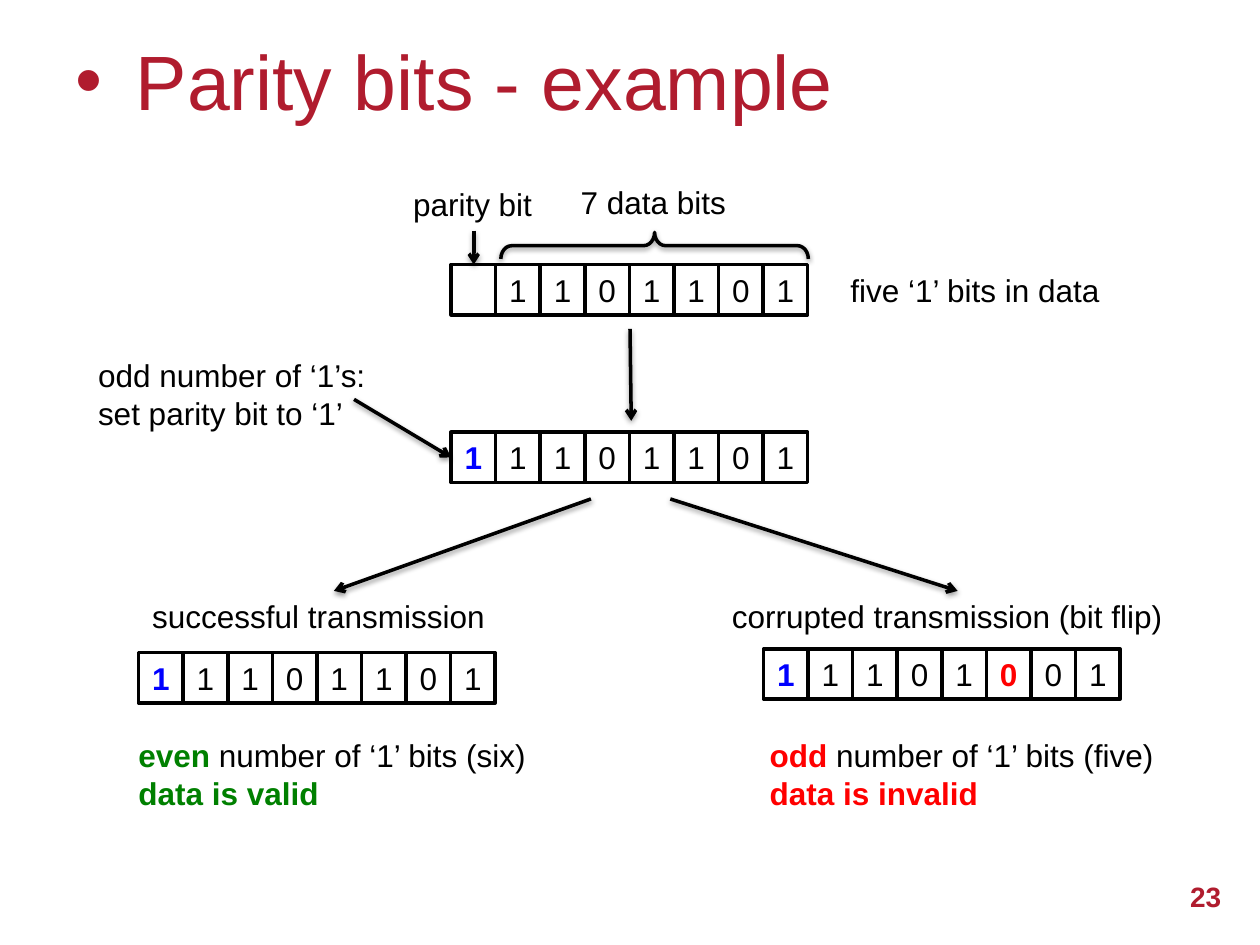
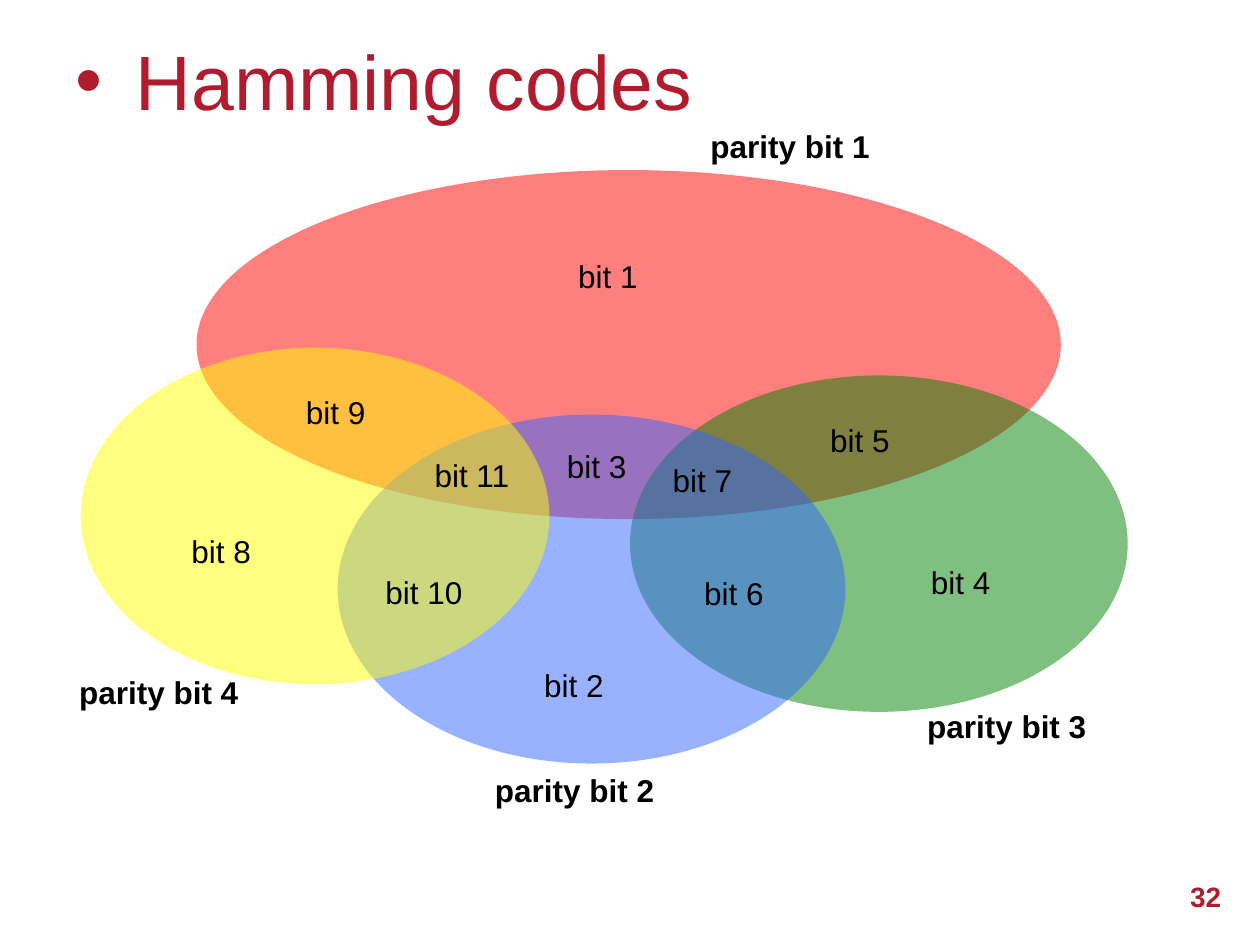
from lxml.etree import SubElement as Sub
from pptx import Presentation
from pptx.dml.color import RGBColor as RGB
from pptx.enum.shapes import MSO_CONNECTOR as Link, MSO_SHAPE as Shape
from pptx.enum.text import MSO_ANCHOR as Anchor, PP_ALIGN as Align
from pptx.oxml.ns import qn
from pptx.util import Emu, Inches, Pt

FONT = "Arial"
BRAND, BLACK, WHITE = "B01C2E", "000000", "FFFFFF"
BLUE, RED, GREEN = "0000FF", "FF0000", "008000"
ROW_W, ROW_H = 2.83, 0.4


def tint(target, code):
    """Give a colour format the colour of a hex string."""
    target.rgb = RGB.from_string(code)


def paint(shape, code):
    """Fill a shape with one solid colour."""
    shape.fill.solid()
    tint(shape.fill.fore_color, code)


def stroke(line):
    """Make a line black and two points wide."""
    tint(line.color, BLACK)
    line.width = Pt(2)


def shade(shape):
    """Add a soft shadow below a line or an outline."""
    props = shape._element.spPr
    effects = Sub(props, qn("a:effectLst"))
    outer = Sub(effects, qn("a:outerShdw"), blurRad=str(Pt(3.1)),
                dist=str(Pt(1.6)), dir="5400000", rotWithShape="0")
    color = Sub(outer, qn("a:srgbClr"), val=BLACK)
    Sub(color, qn("a:alpha"), val="38000")


def write(frame, parts, size=18, color=BLACK, bold=False, align=Align.LEFT,
          anchor=Anchor.TOP, bullet=None):
    """Write a string or (text, colour, bold) parts, where a newline breaks."""
    frame.word_wrap = True
    frame.vertical_anchor = anchor
    para = frame.paragraphs[0]
    para.alignment = align
    if bullet:
        props = para._p.get_or_add_pPr()
        props.set("marL", str(Inches(0.48)))
        props.set("indent", str(Inches(-0.48)))
        Sub(props, qn("a:buFont"), typeface=FONT)
        Sub(props, qn("a:buChar"), char=bullet)
    if isinstance(parts, str):
        parts = [(parts, color, bold)]
    for text, code, heavy in parts:
        if text == "\n":
            para.add_line_break()
            continue
        run = para.add_run()
        run.text = text
        run.font.name, run.font.size, run.font.bold = FONT, Pt(size), heavy
        tint(run.font.color, code)


def label(slide, parts, x, y, w, h=0.4, **style):
    """Place a text box."""
    box = slide.shapes.add_textbox(Inches(x), Inches(y), Inches(w), Inches(h))
    write(box.text_frame, parts, **style)


def start(deck, title, number):
    """Add a slide with its title and page number."""
    slide = deck.slides.add_slide(deck.slide_layouts[6])
    label(slide, title, 0.5, 0.01, 9, 1.25, size=44, color=BRAND,
          anchor=Anchor.MIDDLE, bullet="•")
    label(slide, str(number), 9.02, 6.85, 0.77, 0.52, size=16, color=BRAND,
          bold=True, align=Align.RIGHT, anchor=Anchor.MIDDLE)
    return slide


def byte(slide, bits, x, y, marks):
    """Draw a row of bit cells, with marked bits bold and coloured."""
    group = slide.shapes.add_group_shape()
    step = Inches(ROW_W / len(bits))
    for i, bit in enumerate(bits):
        cell = group.shapes.add_shape(Shape.RECTANGLE, Inches(x) + i * step,
                                      Inches(y), step, Inches(ROW_H))
        paint(cell, WHITE)
        stroke(cell.line)
        cell.shadow.inherit = False
        if bit != " ":
            frame = cell.text_frame
            frame.margin_left = frame.margin_right = Emu(0)
            write(frame, bit, color=marks.get(i, BLACK), bold=i in marks,
                  align=Align.CENTER, anchor=Anchor.MIDDLE)


def arrow(slide, *ends):
    """Draw an arrow from one point to another."""
    line = slide.shapes.add_connector(Link.STRAIGHT, *map(Inches, ends))
    stroke(line.line)
    Sub(line._element.spPr.find(qn("a:ln")), qn("a:tailEnd"), type="arrow")
    shade(line)


def brace(slide, x, y, w, h):
    """Draw a left brace turned to point upwards."""
    shape = slide.shapes.add_shape(Shape.LEFT_BRACE, Inches(x), Inches(y),
                                   Inches(w), Inches(h))
    shape.rotation = 90
    shape.adjustments[0] = 0.41
    shape.fill.background()
    stroke(shape.line)
    shade(shape)


def oval(group, code, x, y, w, h):
    """Draw a half clear ellipse."""
    shape = group.shapes.add_shape(Shape.OVAL, Inches(x), Inches(y),
                                   Inches(w), Inches(h))
    paint(shape, code)
    color = shape._element.spPr.find(qn("a:solidFill")).find(qn("a:srgbClr"))
    Sub(color, qn("a:alpha"), val="50000")
    shape.line.fill.background()
    shape.shadow.inherit = False


def result(slide, x, word, count, verdict, code):
    """State the parity found and what it means."""
    label(slide, [(word, code, True),
                  (f" number of ‘1’ bits ({count})", BLACK, False),
                  ("\n", code, True), (verdict, code, True)],
          x, 5.79, 3.32, 0.71)


def parity(deck):
    """Build the parity bit example."""
    slide = start(deck, "Parity bits - example", 23)
    for bits, x, y, marks in [
            (" 1101101", 3.58, 2.1, {}),
            ("11101101", 3.58, 3.43, {0: BLUE}),
            ("11101101", 1.1, 5.18, {0: BLUE}),
            ("11101001", 6.06, 5.15, {0: BLUE, 5: RED})]:
        byte(slide, bits, x, y, marks)
    brace(slide, 5.09, 0.73, 0.21, 2.44)
    for text, x, y, w in [
            ("7 data bits", 4.51, 1.4, 1.36),
            ("parity bit", 3.18, 1.42, 1.2),
            ("five ‘1’ bits in data", 6.65, 2.1, 2.28),
            ("corrupted transmission (bit flip)", 5.71, 4.69, 3.79),
            ("successful transmission", 1.11, 4.69, 3.07)]:
        label(slide, text, x, y, w)
    label(slide, [("odd number of ‘1’s:", BLACK, False), ("\n", BLACK, False),
                  ("set parity bit to ‘1’", BLACK, False)],
          0.68, 2.78, 2.67, 0.71)
    for ends in [(3.76, 1.83, 3.76, 2.1), (2.81, 3.17, 3.58, 3.63),
                 (4.69, 3.96, 2.65, 4.69), (5.32, 3.96, 7.6, 4.69),
                 (5, 2.61, 5.01, 3.34)]:
        arrow(slide, *ends)
    result(slide, 1, "even", "six", "data is valid", GREEN)
    result(slide, 6.01, "odd", "five", "data is invalid", RED)


def hamming(deck):
    """Build the diagram of overlapping parity groups."""
    slide = start(deck, "Hamming codes", 32)
    group = slide.shapes.add_group_shape()
    oval(group, RED, 1.56, 1.35, 6.86, 2.77)
    oval(group, GREEN, 5, 2.98, 3.95, 2.67)
    oval(group, "3366FF", 2.68, 3.29, 4.03, 2.77)
    oval(group, "FFFF00", 0.64, 2.76, 3.72, 2.67)
    spots = [(4.49, 1.99), (4.22, 5.24), (4.4, 3.5), (7.29, 4.42),
             (6.49, 3.29), (5.49, 4.51), (5.24, 3.61), (1.42, 4.17),
             (2.33, 3.07), (2.96, 4.5), (3.35, 3.57)]
    for i, (x, y) in enumerate(spots, 1):
        label(slide, f"bit {i}", x, y, 0.85)
    names = [(5.54, 0.96), (3.83, 6.07), (7.26, 5.56), (0.53, 5.29)]
    for i, (x, y) in enumerate(names, 1):
        label(slide, f"parity bit {i}", x, y, 1.65, bold=True)


def main():
    """Build and save the slides."""
    deck = Presentation()
    deck.slide_width, deck.slide_height = Inches(10), Inches(7.5)
    parity(deck)
    hamming(deck)
    deck.save("out.pptx")


if __name__ == "__main__":
    main()
